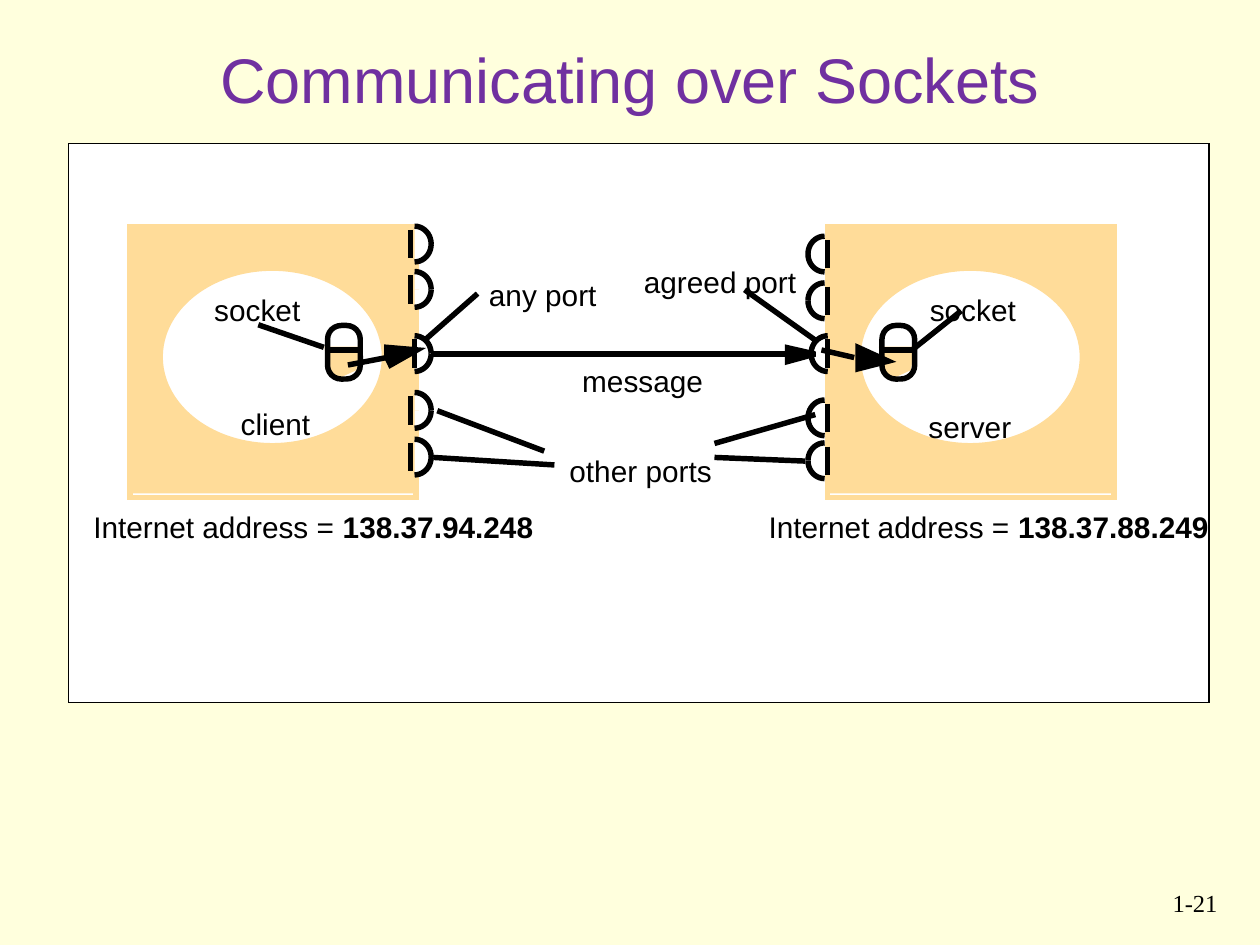
import copy
import math
import pptx
import pptx.util
import pptx.dml.color
import pptx.enum.shapes
import pptx.enum.text
import pptx.oxml.ns
from lxml import etree

Pt = pptx.util.Pt
qn = pptx.oxml.ns.qn
SHAPE = pptx.enum.shapes.MSO_SHAPE
ALIGN = pptx.enum.text.PP_ALIGN
COLORS = {"page": "FFFFDD", "title": "7030A0", "ink": "000000",
          "paper": "FFFFFF", "host": "FFDC99"}
STROKE = 3.12
LABEL_HEIGHT = 20.2
PORT_RADIUS = (9.5, 10.2)

CLIENT = {
    "name": ("client", 63.4, 102.2, 42),
    "address": ("138.37.94.248", -20.9),
    "port_heights": [10.1, 36, 72.7, 105.1, 131.8],
    "arc_x": 162.7, "bar_x": 160.5, "open_x": 162.7, "side": 1,
    "socket_label_x": 48.2, "socket_x": 113,
    "leader": [(110.9, 69.1), (73.4, 56.2)],
    "flow": [(124.6, 79.2), (146.9, 74.9)],
    "head": [(146.9, 74.9), (146.9, 69.1), (164.2, 70.6), (149, 79.2)],
}
SERVER = {
    "name": ("server", 57.6, 104.4, 50),
    "address": ("138.37.88.249", -33.8),
    "port_heights": [15.8, 42.5, 72.7, 109.4, 133.9],
    "arc_x": -1.8, "bar_x": 0, "open_x": 0, "side": -1,
    "socket_label_x": 58.3, "socket_x": 31,
    "leader": [(48.2, 70.6), (76.3, 48.2)],
    "flow": [(15.1, 74.9), (-3.6, 70.6)],
    "head": [(17.3, 74.9), (17.3, 69.1), (34.6, 77), (17.3, 81.4)],
}


def color(name):
    return pptx.dml.color.RGBColor.from_string(COLORS[name])


def paint(shape, fill=None, line=None, width=STROKE):
    shape.shadow.inherit = False
    if fill:
        shape.fill.solid()
        shape.fill.fore_color.rgb = color(fill)
    else:
        shape.fill.background()
    if line:
        shape.line.color.rgb = color(line)
        shape.line.width = Pt(width)
        stroke = shape._element.spPr.find(qn("a:ln"))
        etree.SubElement(stroke, qn("a:miter"), lim="800000")
    else:
        shape.line.fill.background()


def add_shape(page, kind, box, **style):
    shape = page.shapes.add_shape(kind, *[Pt(length) for length in box])
    paint(shape, **style)
    return shape


def add_outline(page, origin, points, **style):
    corners = [(Pt(origin[0] + x), Pt(origin[1] + y)) for x, y in points]
    builder = page.shapes.build_freeform(*corners[0], scale=1.0)
    builder.add_line_segments(corners[1:], close=True)
    shape = builder.convert_to_shape()
    paint(shape, **style)
    return shape


def add_line(page, origin, start, end):
    ends = [Pt(origin[i] + point[i]) for point in (start, end) for i in (0, 1)]
    line = page.shapes.add_connector(
        pptx.enum.shapes.MSO_CONNECTOR.STRAIGHT, *ends)
    line.line.color.rgb = color("ink")
    line.line.width = Pt(STROKE)
    etree.SubElement(line._element.spPr, qn("a:effectLst"))


def write(para, text, size=17, font="Arial", ink="ink", bold=False, align=None):
    span = para.add_run()
    span.text = text
    span.font.size = Pt(size)
    span.font.name = font
    span.font.bold = bold
    span.font.color.rgb = color(ink)
    if align is not None:
        para.alignment = align


def add_label(page, text, left, top, width, bold_end=""):
    frame = page.shapes.add_textbox(
        Pt(left), Pt(top), Pt(width), Pt(LABEL_HEIGHT)).text_frame
    frame.margin_left = frame.margin_right = 0
    frame.margin_top = frame.margin_bottom = 0
    frame.word_wrap = True
    write(frame.paragraphs[0], text)
    if bold_end:
        write(frame.paragraphs[0], bold_end, bold=True)


def add_quarter(page, center, side, down):
    across, tall = PORT_RADIUS
    angles = [math.pi / 2 * step / 10 for step in range(11)]
    curve = [(side * across * math.cos(angle), down * tall * math.sin(angle))
             for angle in angles]
    shape = add_outline(page, center, curve + [(0, 0)],
                        fill="paper", line="ink")
    # Fill the whole sector, but stroke its curve only
    sector = shape._element.spPr.find(".//" + qn("a:path"))
    stroke = copy.deepcopy(sector)
    for step in stroke[-2:]:
        stroke.remove(step)
    stroke.set("fill", "none")
    sector.set("stroke", "0")
    sector.addprevious(stroke)


def add_port(page, arc_x, bar_x, middle, side):
    for down in (-1, 1):
        add_quarter(page, (arc_x, middle), side, down)
    add_line(page, (bar_x, middle), (0, -8.1), (0, 8.1))


def add_socket(page, box):
    left, top, width, height = box
    bowl = [(0, 13.7), (1.4, 24.5), (7.2, 28.1), (15.1, 24.5), (17.3, 13.7)]
    add_outline(page, (left, top), bowl, fill="host", line="host")
    capsule = add_shape(page, SHAPE.ROUNDED_RECTANGLE, box, line="ink")
    capsule.adjustments[0] = 0.42
    add_line(page, (left, top), (0, 13.9), (17.3, 13.9))


def add_host(page, box, host):
    left, top, width, height = box
    origin = (left, top)
    # Machine and process
    add_shape(page, SHAPE.RECTANGLE, box, fill="host")
    add_shape(page, SHAPE.RECTANGLE, (left, top, width + 1.6, height + 2.2),
              line="host")
    add_shape(page, SHAPE.OVAL, (left + 17.3, top + 23.8, 128.2, 101.5),
              fill="paper", line="host")
    # Ports; the third one is in use
    for index, middle in enumerate(host["port_heights"]):
        bar_x, arc_x = host["bar_x"], host["arc_x"]
        if index == 2:
            bar_x = arc_x = host["open_x"]
        add_port(page, left + arc_x, left + bar_x, top + middle, host["side"])
    # Labels
    name, name_x, name_y, name_width = host["name"]
    address, address_x = host["address"]
    add_label(page, name, left + name_x, top + name_y, name_width)
    add_label(page, "socket", left + host["socket_label_x"], top + 37.4, 51)
    add_label(page, "Internet address = ", left + address_x, top + 161.3,
              254, bold_end=address)
    # Socket and its flow
    add_line(page, origin, *host["leader"])
    add_socket(page, (left + host["socket_x"], top + 56.6, 18.7, 30.6))
    add_outline(page, origin, host["head"], fill="ink", line="ink")
    add_line(page, origin, *host["flow"])


def add_channel(page, box):
    left, top, width, height = box
    origin = (left, top)
    for text, x, y, label_width in [
            ("any port", 42.5, 28.8, 64), ("agreed port", 131, 20.9, 90),
            ("message", 95.8, 77.8, 72), ("other ports", 88.5, 128.9, 84)]:
        add_label(page, text, left + x, top + y, label_width)
    # Leaders from the labels to the ports
    for start, end in [
            ((5.8, 64.8), (36, 38.2)), ((229, 64.8), (188.6, 36)),
            ((74.1, 128.2), (13, 105.1)), ((79.9, 136.1), (10.8, 131.8)),
            ((223.2, 133.9), (171.4, 131.8)), ((171.4, 123.8), (229, 107.3))]:
        add_line(page, origin, start, end)
    # Message arrow
    add_outline(page, origin, [(213.1, 69.1), (228.9, 72.7), (213.1, 77)],
                fill="ink", line="ink")
    add_line(page, origin, (213.1, 72.7), (9.4, 72.7))


def add_title(page, box):
    title = page.shapes.title
    title.left, title.top, title.width, title.height = map(Pt, box)
    title.text_frame.vertical_anchor = pptx.enum.text.MSO_ANCHOR.MIDDLE
    write(title.text_frame.paragraphs[0], "Communicating over Sockets",
          size=36, ink="title", align=ALIGN.CENTER)


def add_page_number(page, box):
    frame = page.shapes.add_textbox(*map(Pt, box)).text_frame
    frame.word_wrap = True
    write(frame.paragraphs[0], "1-21", size=14, font="Times New Roman",
          align=ALIGN.RIGHT)


def main():
    deck = pptx.Presentation()
    deck.slide_width, deck.slide_height = Pt(720), Pt(540)
    page = deck.slides.add_slide(deck.slide_layouts[5])
    page.background.fill.solid()
    page.background.fill.fore_color.rgb = color("page")
    add_title(page, (0, 0, 720, 90))
    add_page_number(page, (653.8, 504, 49, 36))
    # Diagram
    add_shape(page, SHAPE.RECTANGLE, (39.3, 82, 651.6, 319.3),
              fill="paper", line="ink", width=0.75)
    add_host(page, (74.2, 129.4, 162, 152.6), CLIENT)
    add_host(page, (473, 129.4, 162, 152.6), SERVER)
    add_channel(page, (236.9, 129.6, 236.1, 152.6))
    deck.save("out.pptx")


if __name__ == "__main__":
    main()
